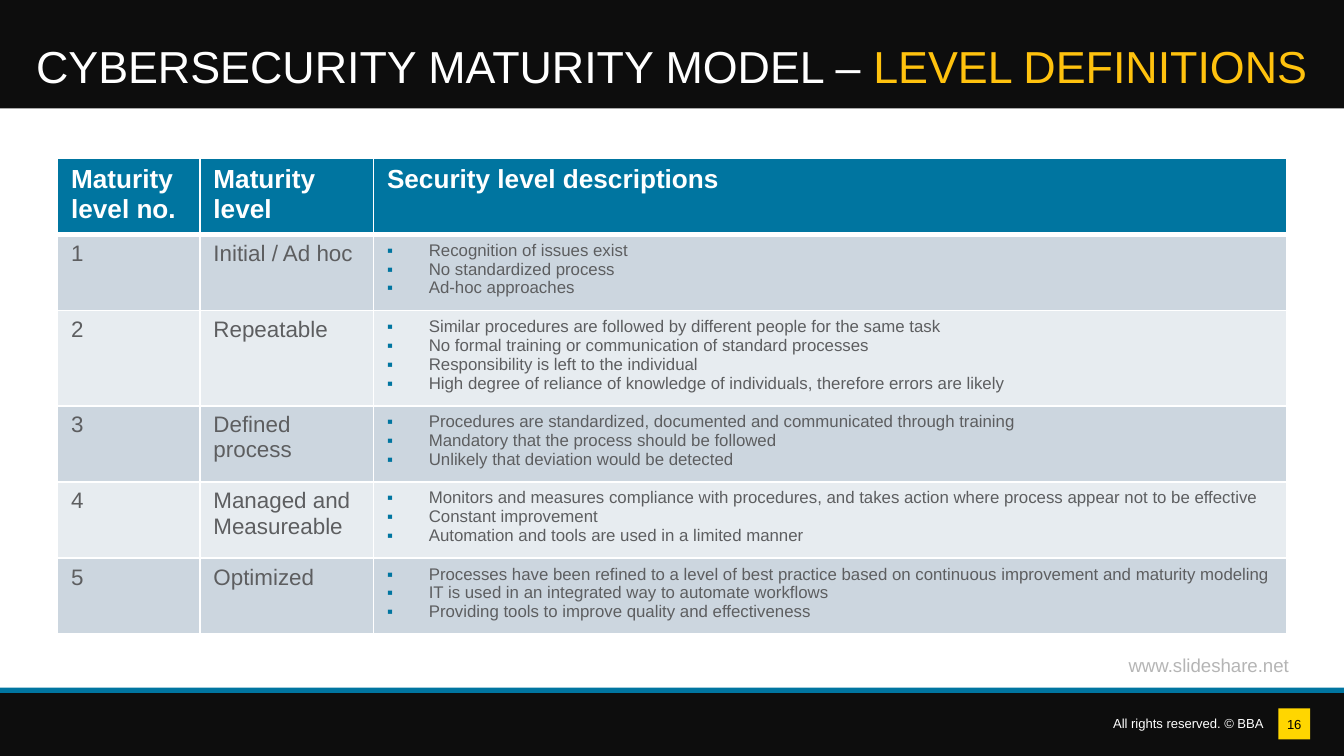
"""Build the cybersecurity maturity model slide with its level definitions table."""
import pptx
import pptx.dml.color
import pptx.enum.shapes
import pptx.enum.text
import pptx.oxml
import pptx.oxml.ns
import pptx.util

Cm, Pt = pptx.util.Cm, pptx.util.Pt
ALIGN = pptx.enum.text.PP_ALIGN
MIDDLE = pptx.enum.text.MSO_ANCHOR.MIDDLE
BLACK, WHITE, BLUE, GREY = "0D0D0D", "FFFFFF", "0075A0", "5D5E60"
BANDS = ("CCD6DF", "E7ECF0")

TITLE = [("CYBERSECURITY MATURITY MODEL – ", WHITE), ("LEVEL DEFINITIONS", "FFC20E")]
HEADERS = ["Maturity level no.", "Maturity level", "Security level descriptions"]
LEVELS = [
    ("Initial / Ad hoc", [
        "Recognition of issues exist",
        "No standardized process",
        "Ad-hoc approaches"]),
    ("Repeatable", [
        "Similar procedures are followed by different people for the same task",
        "No formal training or communication of standard processes",
        "Responsibility is left to the individual",
        "High degree of reliance of knowledge of individuals, therefore errors are likely"]),
    ("Defined process", [
        "Procedures are standardized, documented and communicated through training",
        "Mandatory that the process should be followed",
        "Unlikely that deviation would be detected"]),
    ("Managed and Measureable", [
        "Monitors and measures compliance with procedures, and takes action where process "
        "appear not to be effective",
        "Constant improvement",
        "Automation and tools are used in a limited manner"]),
    ("Optimized", [
        "Processes have been refined to a level of best practice based on continuous "
        "improvement and maturity modeling",
        "IT is used in an integrated way to automate workflows",
        "Providing tools to improve quality and effectiveness"]),
]
BARS = [
    (0, 13.05, 25.4, 1.24, BLACK),
    (0, 0, 25.4, 2.05, BLACK),
    (24.16, 13.39, 0.6, 0.59, "FFD600"),
    (0, 13, 25.4, 0.1, BLUE),
]
COLUMNS = (2.69, 3.28, 17.25)
ROW_HEIGHT, LINE_HEIGHT = 1.44, 0.36


def rgb(value):
    return pptx.dml.color.RGBColor.from_string(value)


def write(p, text, size=12, color=GREY, bold=False, align=None, bullet=False):
    if bullet:
        pPr = p._p.get_or_add_pPr()
        pPr.set("marL", str(Cm(0.79)))
        pPr.set("indent", str(-Cm(0.79)))
        ns = pptx.oxml.ns.nsdecls("a")
        for xml in (f'<a:buClr {ns}><a:srgbClr val="{BLUE}"/></a:buClr>',
                    f'<a:buFont {ns} typeface="Arial"/>',
                    f'<a:buChar {ns} char="▪"/>'):
            pPr.append(pptx.oxml.parse_xml(xml))
    if align is not None:
        p.alignment = align
    r = p.add_run()
    r.text = text
    r.font.name, r.font.size, r.font.bold = "Arial", Pt(size), bold
    r.font.color.rgb = rgb(color)


def add_bar(s, x, y, w, h, color):
    sp = s.shapes.add_shape(pptx.enum.shapes.MSO_SHAPE.RECTANGLE, Cm(x), Cm(y), Cm(w), Cm(h))
    sp.shadow.inherit = False
    sp.fill.solid()
    sp.fill.fore_color.rgb = rgb(color)
    sp.line.fill.background()


def set_frame(tf, wrap=True):
    tf.margin_left = tf.margin_right = tf.margin_top = tf.margin_bottom = 0
    tf.vertical_anchor = MIDDLE
    tf.word_wrap = wrap
    tf.auto_size = pptx.enum.text.MSO_AUTO_SIZE.NONE


def add_label(s, x, y, w, h, text, wrap=True, **fmt):
    tf = s.shapes.add_textbox(Cm(x), Cm(y), Cm(w), Cm(h)).text_frame
    set_frame(tf, wrap)
    write(tf.paragraphs[0], text, **fmt)


def style_cell(cell, fill, bottom=1):
    tcPr = cell._tc.get_or_add_tcPr()
    for side, width in (("L", 1), ("R", 1), ("T", 1), ("B", bottom)):
        tcPr.append(pptx.oxml.parse_xml(
            f'<a:ln{side} {pptx.oxml.ns.nsdecls("a")} w="{Pt(width)}"><a:solidFill>'
            f'<a:srgbClr val="{WHITE}"/></a:solidFill></a:ln{side}>'))
    cell.fill.solid()
    cell.fill.fore_color.rgb = rgb(fill)


def add_levels(s):
    heights = [ROW_HEIGHT] + [ROW_HEIGHT + LINE_HEIGHT * (len(items) - 3) for _, items in LEVELS]
    table = s.shapes.add_table(len(heights), len(COLUMNS), Cm(1.09), Cm(2.99),
                               Cm(sum(COLUMNS)), Cm(sum(heights))).table
    for column, width in zip(table.columns, COLUMNS):
        column.width = Cm(width)
    for row, height in zip(table.rows, heights):
        row.height = Cm(height)
    for cell, text in zip(table.rows[0].cells, HEADERS):
        style_cell(cell, BLUE, bottom=3)
        write(cell.text_frame.paragraphs[0], text, size=14, color=WHITE, bold=True)
    for n, (name, items) in enumerate(LEVELS, 1):
        number, level, description = cells = list(table.rows[n].cells)
        for cell in cells:
            style_cell(cell, BANDS[(n - 1) % 2])
        write(number.text_frame.paragraphs[0], str(n))
        write(level.text_frame.paragraphs[0], name)
        tf = description.text_frame
        for i, item in enumerate(items):
            write(tf.add_paragraph() if i else tf.paragraphs[0], item, size=9, bullet=True)


def main():
    prs = pptx.Presentation()
    prs.slide_width, prs.slide_height = Cm(25.4), Cm(14.29)
    s = prs.slides.add_slide(prs.slide_layouts[5])
    for bar in BARS:
        add_bar(s, *bar)
    add_label(s, 17.58, 13.39, 6.3, 0.58, "All rights reserved. © BBA",
              size=7, color=WHITE, align=ALIGN.RIGHT)
    add_label(s, 24.31, 13.54, 0.3, 0.3, "16", wrap=False,
              size=7, color="000000", align=ALIGN.CENTER)
    add_levels(s)
    add_label(s, 21.33, 12.25, 3.38, 0.66, "www.slideshare.net", size=10, color="B5B5B5")

    title = s.shapes.title
    title.left, title.top, title.width, title.height = Cm(0.53), Cm(0.85), Cm(24.33), Cm(0.79)
    set_frame(title.text_frame)
    for text, color in TITLE:
        write(title.text_frame.paragraphs[0], text, size=24, color=color, align=ALIGN.CENTER)
    s.shapes._spTree.append(title._element)
    prs.save("out.pptx")


if __name__ == "__main__":
    main()
